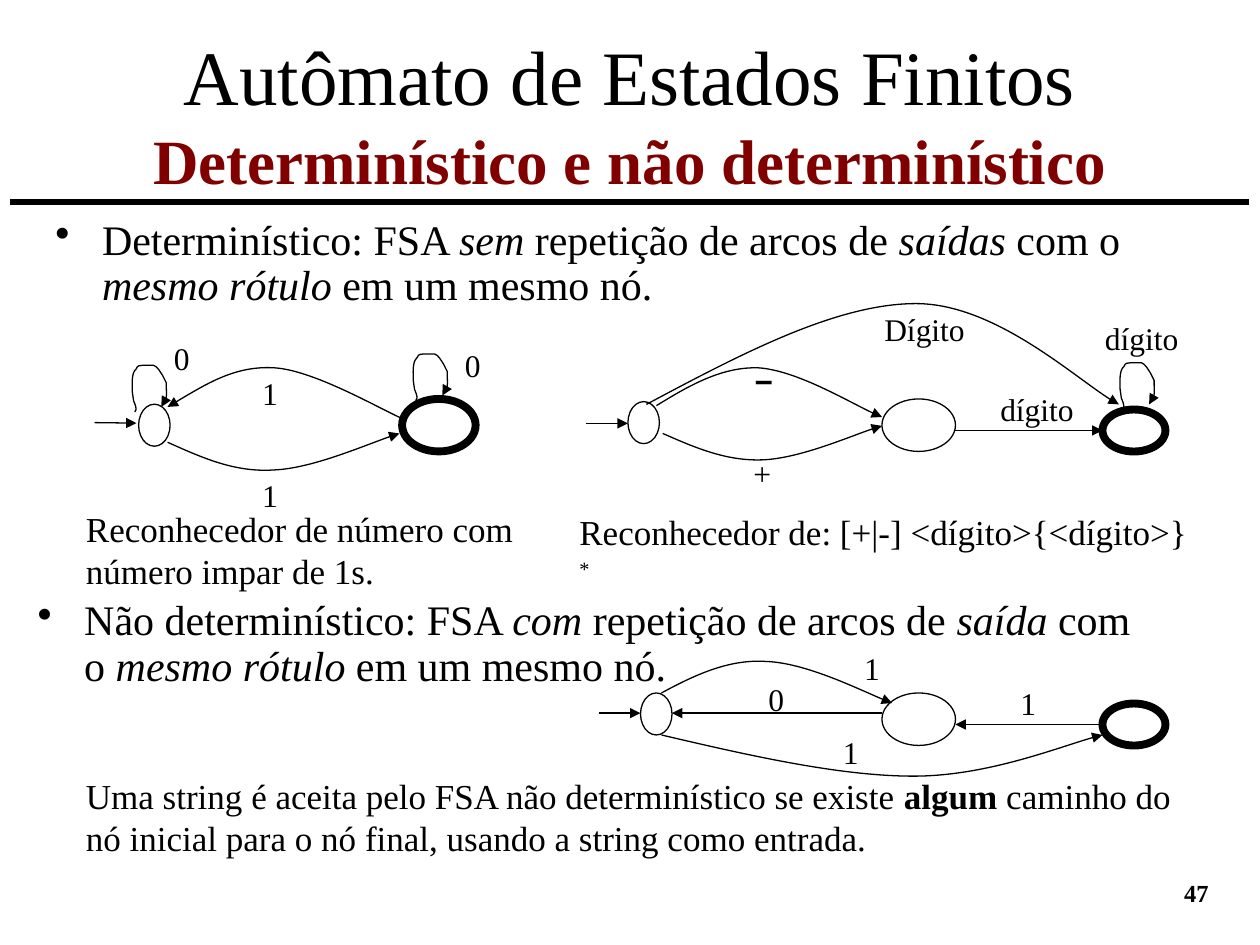
from dataclasses import dataclass

from lxml.etree import SubElement
from pptx import Presentation
from pptx.dml.color import RGBColor
from pptx.enum.shapes import MSO_CONNECTOR, MSO_SHAPE
from pptx.enum.text import MSO_ANCHOR, MSO_AUTO_SIZE, PP_ALIGN
from pptx.oxml.ns import qn
from pptx.util import Inches, Pt

BLACK = RGBColor(0, 0, 0)
WHITE = RGBColor(255, 255, 255)
MAROON = RGBColor(0x80, 0, 0)
SERIF = "Times New Roman"
SLIDE_WIDTH, SLIDE_HEIGHT = Inches(10), Inches(7.5)
COLUMNS = 120
CELL = SLIDE_WIDTH // COLUMNS
THIN, THICK = Pt(0.75), Pt(4.5)
LOOP = [
    (0.36, 4.44), (0.48, 4.32), (0.48, 4.32), (0.48, 4.2), (0.48, 3.96), (0.36, 3.6), (0.24, 3.36),
    (0.24, 3.12), (0.12, 2.76), (0.12, 2.52), (0.12, 1.92), (0, 0.72), (0.48, 0.36),
    (0.6, 0), (0.84, 0), (1.08, 0), (1.44, 0), (1.8, 0), (2.16, 0), (2.52, 0.12), (2.76, 0.6),
    (3, 0.96), (3.12, 1.2), (3.24, 1.44), (3.36, 1.68), (3.36, 1.8), (3.36, 2.16), (3.36, 2.16),
    (3.36, 2.64), (3.48, 3.24), (3.12, 3.6), (3, 3.84), (3, 3.84), (2.88, 3.96),
]


@dataclass
class Box:
    left: float
    top: float
    width: float
    height: float

    def point(self, column, row):
        return round((self.left + column) * CELL), round((self.top + row) * CELL)

    def inner(self, column, row, width, height):
        return Box(self.left + column, self.top + row, width, height)

    def frame(self):
        return (*self.point(0, 0), round(self.width * CELL), round(self.height * CELL))


def set_stroke(stroke, width, arrow=False):
    stroke.line.color.rgb = BLACK
    stroke.line.width = width
    if arrow:
        outline = stroke._element.spPr.find(qn("a:ln"))
        SubElement(outline, qn("a:tailEnd"), type="triangle")


def add_state(slide, box, final=False):
    state = slide.shapes.add_shape(MSO_SHAPE.OVAL, *box.frame())
    state.shadow.inherit = False
    state.fill.solid()
    state.fill.fore_color.rgb = WHITE
    set_stroke(state, THICK if final else THIN)


def add_straight(slide, box, start, end, width=THIN, arrow=True):
    straight = slide.shapes.add_connector(
        MSO_CONNECTOR.STRAIGHT, *box.point(*start), *box.point(*end))
    set_stroke(straight, width, arrow)
    SubElement(straight._element.spPr, qn("a:effectLst"))


def add_curve(slide, box, points):
    start, *controls = [box.point(*point) for point in points]
    builder = slide.shapes.build_freeform(*start)
    builder.add_line_segments(controls, close=False)
    arc = builder.convert_to_shape()
    segments = list(arc._element.iter(qn("a:lnTo")))
    outline = segments[0].getparent()
    for first in range(0, len(segments), 3):
        bezier = SubElement(outline, qn("a:cubicBezTo"))
        for segment in segments[first:first + 3]:
            bezier.append(segment[0])
            outline.remove(segment)
    arc.shadow.inherit = False
    arc.fill.background()
    set_stroke(arc, THIN, arrow=True)


def add_text(slide, box, pieces, size, wrap=True, tight=False, font=SERIF, bold=None):
    text_box = slide.shapes.add_textbox(*box.frame())
    frame = text_box.text_frame
    frame.word_wrap = wrap
    if tight:
        frame.margin_left = frame.margin_right = frame.margin_top = frame.margin_bottom = 0
    paragraph = frame.paragraphs[0]
    paragraph.font.name, paragraph.font.size = font, Pt(size)
    paragraph.font.color.rgb, paragraph.font.bold = BLACK, bold
    for words, style in pieces:
        run = paragraph.add_run()
        run.text = words
        if style == "italic":
            run.font.italic = True
        elif style == "bold":
            run.font.bold = True
        elif style == "superscript":
            run._r.get_or_add_rPr().set("baseline", "30000")
    return paragraph


def add_label(slide, box, words, column, row, width=3.84):
    add_text(slide, box.inner(column, row, width, 4.8), [(words, "")], 18, wrap=False)


def add_tight_label(slide, box, words, column, row, font=SERIF, bold=None):
    add_text(slide, box.inner(column, row, 1.56, 3.6), [(words, "")], 18,
             wrap=False, tight=True, font=font, bold=bold)


def add_loop(slide, box, column, row):
    add_curve(slide, box.inner(column, row, 3.48, 4.44), LOOP)


def add_header(slide, box):
    title = slide.shapes.title
    title.left, title.top, title.width, title.height = box.inner(3, 2.16, 114, 17.16).frame()
    frame = title.text_frame
    frame.auto_size = MSO_AUTO_SIZE.NONE
    frame.vertical_anchor = MSO_ANCHOR.MIDDLE
    paragraph = frame.paragraphs[0]
    paragraph.alignment = PP_ALIGN.CENTER
    paragraph.font.name = SERIF
    topic = paragraph.add_run()
    topic.text = "Autômato de Estados Finitos"
    topic.font.size, topic.font.color.rgb = Pt(44), BLACK
    paragraph.add_line_break()
    subtopic = paragraph.add_run()
    subtopic.text = "Determinístico e não determinístico"
    subtopic.font.size, subtopic.font.color.rgb, subtopic.font.bold = Pt(36), MAROON, True
    add_straight(slide, box, (1, 19.25), (119, 19.25), Pt(3), arrow=False)


def add_definition(slide, box, kind, manner, exits):
    paragraph = add_text(slide, box, [
        (f"{kind}: FSA ", ""), (manner, "italic"), (" repetição de arcos de ", ""),
        (exits, "italic"), (" com o ", ""), ("mesmo rótulo", "italic"), (" em um mesmo nó.", ""),
    ], 24)
    paragraph.line_spacing = 0.9
    properties = paragraph._p.get_or_add_pPr()
    indent = Inches(0.37)
    properties.set("marL", str(indent))
    properties.set("indent", str(-indent))
    bullet = SubElement(properties, qn("a:buChar"), char="•")
    properties.find(qn("a:lnSpc")).addnext(bullet)


def add_parity_automaton(slide, box):
    add_state(slide, box.inner(4.2, 8.5, 3, 4))
    add_state(slide, box.inner(29.3, 8, 7, 5), final=True)
    add_straight(slide, box, (0, 10.25), (4, 10.3))
    add_curve(slide, box, [(29.52, 9.96), (27.48, 9.12), (21, 5.28), (17.16, 5.04),
                           (13.44, 4.8), (10.2, 6.84), (6.96, 8.76)])
    add_curve(slide, box, [(6.96, 12.12), (10.2, 13.56), (13.32, 15), (17.04, 14.76),
                           (20.64, 14.64), (27, 11.88), (29.04, 11.28)])
    add_loop(slide, box, 30.24, 3.72)
    add_loop(slide, box, 3.48, 4.8)
    for symbol, column, row in [("1", 15.96, 5.64), ("1", 15.96, 15.36),
                                ("0", 35.28, 3), ("0", 7.56, 2.28)]:
        add_tight_label(slide, box, symbol, column, row)
    add_text(slide, box.inner(-2, 17.76, 46, 9.24),
             [("Reconhecedor de número com número impar de 1s.", "")], 20)


def add_signed_automaton(slide, box):
    add_state(slide, box.inner(5.8, 10.25, 3, 4))
    add_state(slide, box.inner(30, 10, 7, 5))
    add_state(slide, box.inner(51, 11, 6, 4), final=True)
    add_straight(slide, box, (1.8, 12.32), (5.8, 12.32))
    add_straight(slide, box, (37, 13), (51, 13))
    add_curve(slide, box, [(8.52, 10.64), (11.64, 8.72), (14.76, 6.92), (18.24, 7.04),
                           (21.84, 7.28), (28.08, 11), (30, 11.72)])
    add_curve(slide, box, [(9.12, 13.28), (12.12, 14.6), (15.12, 15.92), (18.6, 15.8),
                           (22.08, 15.68), (28.2, 13.04), (30, 12.56)])
    add_curve(slide, box, [(7.56, 10.52), (16.56, 5.72), (25.68, 0.92), (33.24, 0.92),
                           (40.68, 0.92), (49.32, 8.84), (52.56, 10.52)])
    add_loop(slide, box, 52.56, 6.56)
    add_tight_label(slide, box, "−", 17.88, 6.44, font="Arial", bold=True)
    add_tight_label(slide, box, "+", 17.76, 15.2)
    for symbol, column, row, width in [("dígito", 40.08, 8.6, 9.36), ("Dígito", 29.04, 0.92, 10.08),
                                       ("dígito", 50.04, 1.76, 9.48)]:
        add_label(slide, box, symbol, column, row, width)
    add_text(slide, box.inner(0, 20, 61.2, 5.28),
             [("Reconhecedor de: [+|-] <dígito>{<dígito>}", ""), ("*", "superscript")],
             20, wrap=False)


def add_nondeterministic_automaton(slide, box):
    add_state(slide, box.inner(4, 4, 3, 4))
    add_state(slide, box.inner(27, 4, 7, 5))
    add_state(slide, box.inner(48, 5, 6, 4), final=True)
    for start, end in [((0, 5.92), (4, 5.92)), ((27, 5.92), (7, 5.92)), ((48, 7), (34, 7))]:
        add_straight(slide, box, start, end)
    add_curve(slide, box, [(6, 4), (9.12, 2.32), (12.36, 0.76), (15.96, 1),
                           (19.68, 1.12), (26.04, 4.24), (27.96, 4.96)])
    add_curve(slide, box, [(6, 8), (14.52, 10), (23.04, 11.92), (30, 11.92),
                           (36.96, 11.92), (45, 8.7), (48, 8)])
    for symbol, column, row in [("1", 22.08, 7.24), ("1", 24.12, -0.8),
                                ("0", 15, 2.2), ("1", 39, 2.56)]:
        add_label(slide, box, symbol, column, row)


def main():
    deck = Presentation()
    deck.slide_width, deck.slide_height = SLIDE_WIDTH, SLIDE_HEIGHT
    slide = deck.slides.add_slide(deck.slide_layouts[5])
    add_header(slide, Box(0, 0, COLUMNS, 20))
    page_number = add_text(slide, Box(108, 83, 8.28, 6), [("47", "")], 14, bold=True)
    page_number.alignment = PP_ALIGN.RIGHT
    add_definition(slide, Box(2.4, 56.5, 109, 11), "Não determinístico", "com", "saída")
    add_definition(slide, Box(4.1, 20.25, 111.4, 11.75), "Determinístico", "sem", "saídas")
    add_nondeterministic_automaton(slide, Box(57, 62, 54, 12))
    add_signed_automaton(slide, Box(54, 28, 62, 26))
    add_parity_automaton(slide, Box(9, 30, 44, 27))
    add_text(slide, Box(7, 73.2, 107, 9.24), [
        ("Uma string é aceita pelo FSA não determinístico se existe ", ""), ("algum", "bold"),
        (" caminho do nó inicial para o nó final, usando a string como entrada.", ""),
    ], 20)
    deck.save("out.pptx")


if __name__ == "__main__":
    main()
